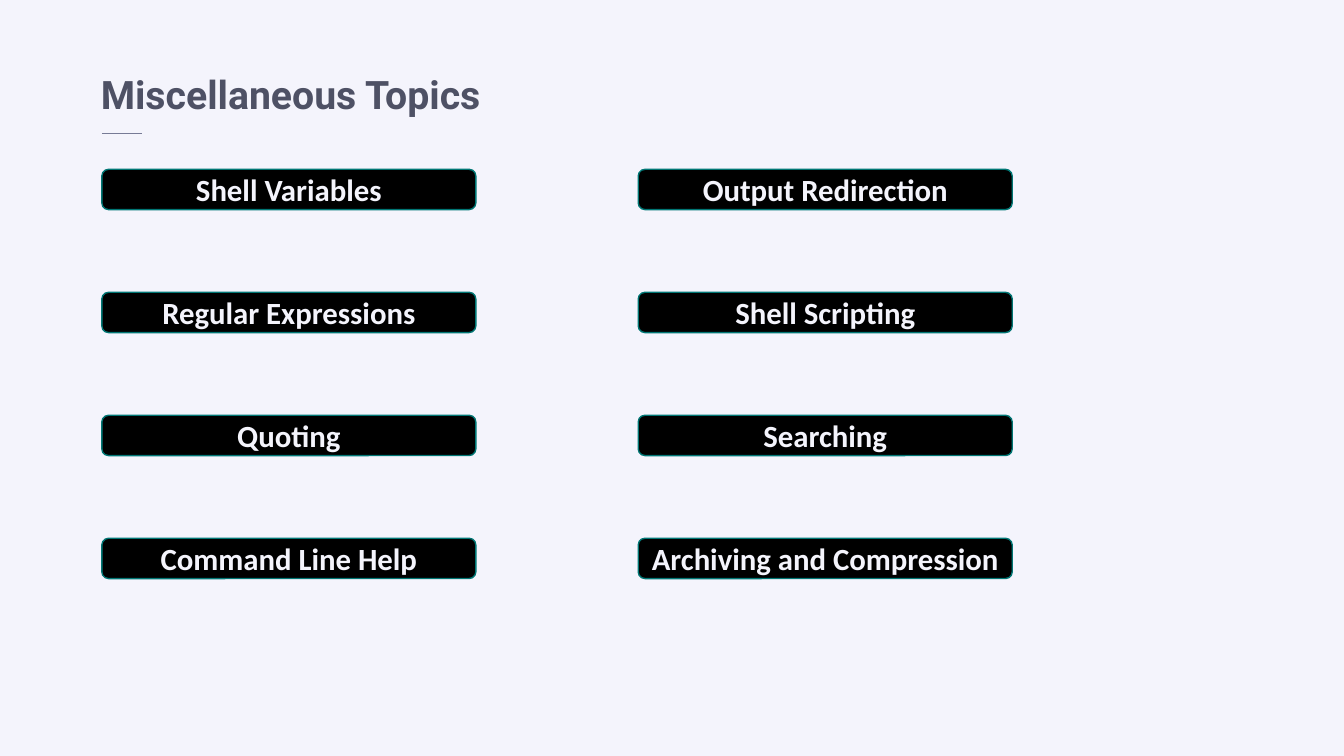
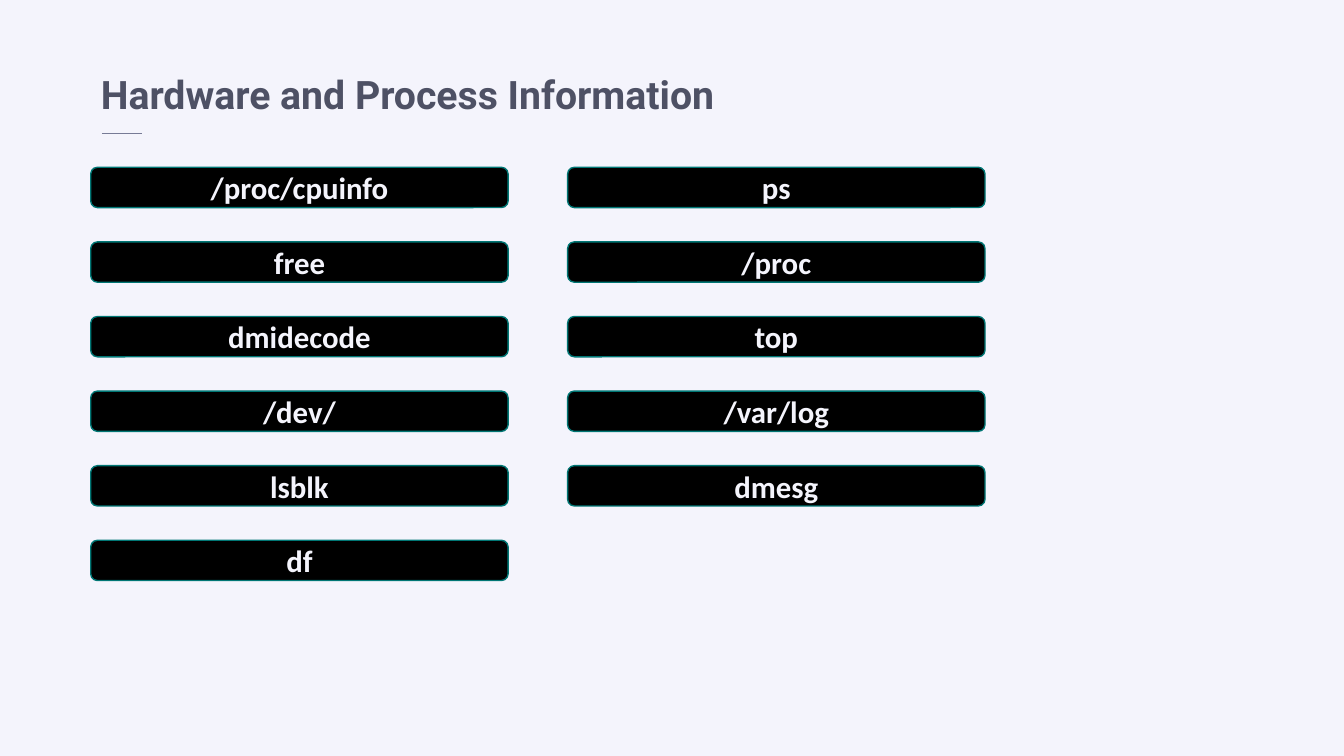
import dataclasses

import lxml.etree
import pptx
import pptx.dml.color
import pptx.enum.shapes
import pptx.enum.text
import pptx.oxml.ns
import pptx.util


@dataclasses.dataclass(frozen=True)
class Theme:
    background = pptx.dml.color.RGBColor.from_string("F4F4FC")
    title = pptx.dml.color.RGBColor.from_string("4E5165")
    rule = pptx.dml.color.RGBColor.from_string("777B96")
    button = pptx.dml.color.RGBColor.from_string("000000")
    button_line = pptx.dml.color.RGBColor.from_string("007674")
    button_text = pptx.dml.color.RGBColor.from_string("F4F4FC")
    title_font = "Roboto"
    button_font = "Calibri"
    title_size = pptx.util.Pt(28)
    button_size = pptx.util.Pt(22)


def px(length):
    return pptx.util.Emu(length * 9144)


def style_paragraph(paragraph, name, size, color, alignment):
    paragraph.alignment = alignment
    paragraph.font.name = name
    paragraph.font.size = size
    paragraph.font.bold = True
    paragraph.font.color.rgb = color


theme = Theme()
BUTTON_HEIGHT = 40

topics = [
    {
        "title": "Miscellaneous Topics",
        "title_width": 424,
        "lefts": [101, 633],
        "top": 168,
        "step": 122,
        "button_width": 371,
        "columns": [
            ["Shell Variables", "Regular Expressions", "Quoting", "Command Line Help"],
            ["Output Redirection", "Shell Scripting", "Searching", "Archiving and Compression"],
        ],
    },
    {
        "title": "Hardware and Process Information",
        "title_width": 671,
        "lefts": [90, 563],
        "top": 166,
        "step": 74,
        "button_width": 414,
        "columns": [
            ["/proc/cpuinfo", "free", "dmidecode", "/dev/", "lsblk", "df"],
            ["ps", "/proc", "top", "/var/log", "dmesg"],
        ],
    },
]

presentation = pptx.Presentation()
presentation.slide_width = px(1333)
presentation.slide_height = px(750)
background = presentation.slide_master.background.fill
background.solid()
background.fore_color.rgb = theme.background
title_only = presentation.slide_layouts.get_by_name("Title Only")

for topic in topics:
    slide = presentation.slides.add_slide(title_only)

    title = slide.shapes.title
    title.left, title.top = px(90), px(65)
    title.width, title.height = px(topic["title_width"]), px(57)
    title.text_frame.text = topic["title"]
    title.text_frame.word_wrap = False
    title.text_frame.auto_size = pptx.enum.text.MSO_AUTO_SIZE.SHAPE_TO_FIT_TEXT
    title.text_frame.vertical_anchor = pptx.enum.text.MSO_ANCHOR.TOP
    style_paragraph(
        title.text_frame.paragraphs[0], theme.title_font, theme.title_size,
        theme.title, pptx.enum.text.PP_ALIGN.LEFT,
    )

    rule = slide.shapes.add_connector(
        pptx.enum.shapes.MSO_CONNECTOR.STRAIGHT, px(101), px(132), px(141), px(132)
    )
    rule.line.color.rgb = theme.rule
    rule.line.width = pptx.util.Pt(0.25)
    lxml.etree.SubElement(rule._element.spPr, pptx.oxml.ns.qn("a:effectLst"))

    for left, labels in zip(topic["lefts"], topic["columns"]):
        for row, label in enumerate(labels):
            button = slide.shapes.add_shape(
                pptx.enum.shapes.MSO_SHAPE.ROUNDED_RECTANGLE,
                px(left), px(topic["top"] + row * topic["step"]),
                px(topic["button_width"]), px(BUTTON_HEIGHT),
            )
            button.shadow.inherit = False
            button.fill.solid()
            button.fill.fore_color.rgb = theme.button
            button.line.color.rgb = theme.button_line
            button.line.width = pptx.util.Pt(1)
            button.text_frame.text = label
            button.text_frame.vertical_anchor = pptx.enum.text.MSO_ANCHOR.MIDDLE
            style_paragraph(
                button.text_frame.paragraphs[0], theme.button_font, theme.button_size,
                theme.button_text, pptx.enum.text.PP_ALIGN.CENTER,
            )

presentation.save("out.pptx")
